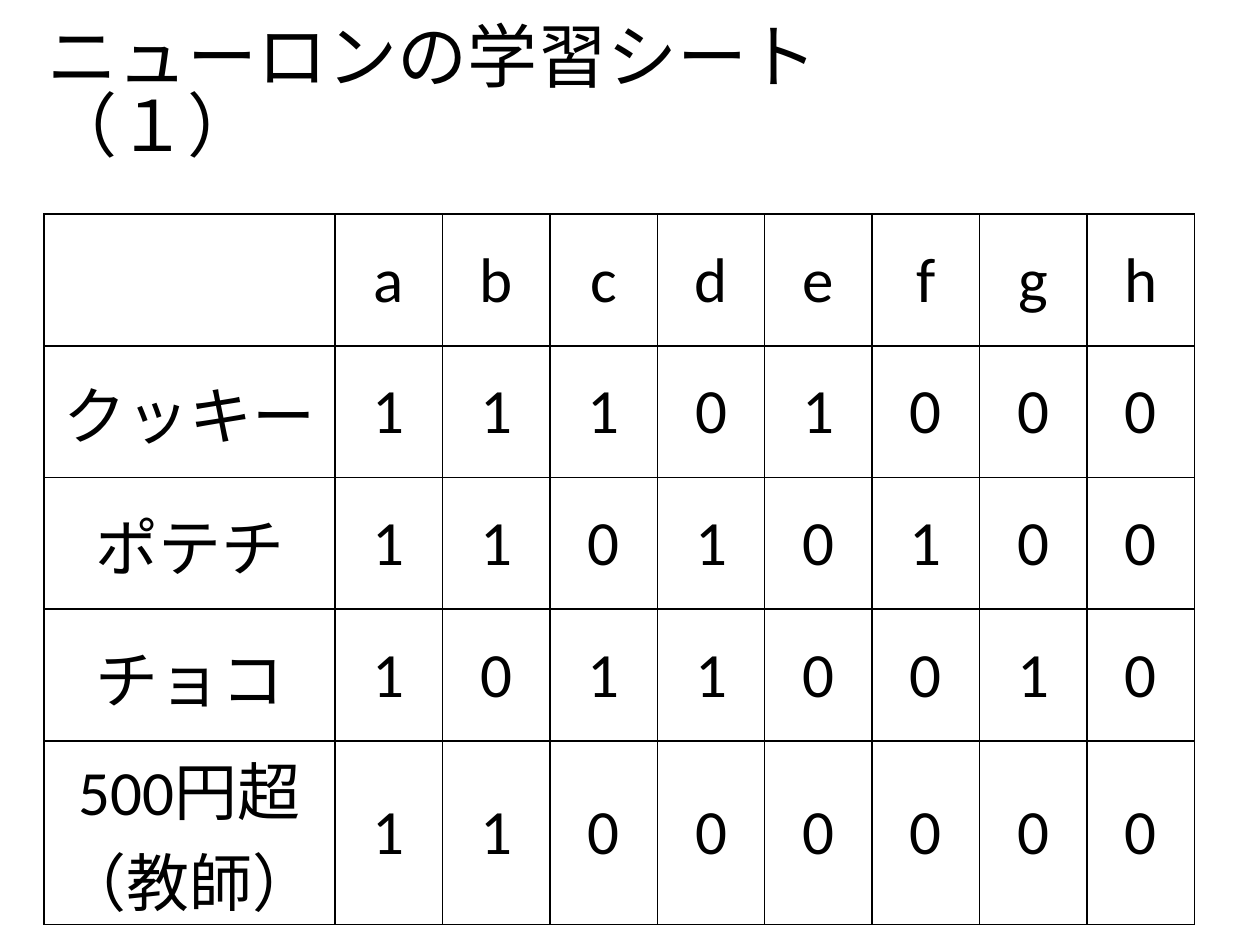
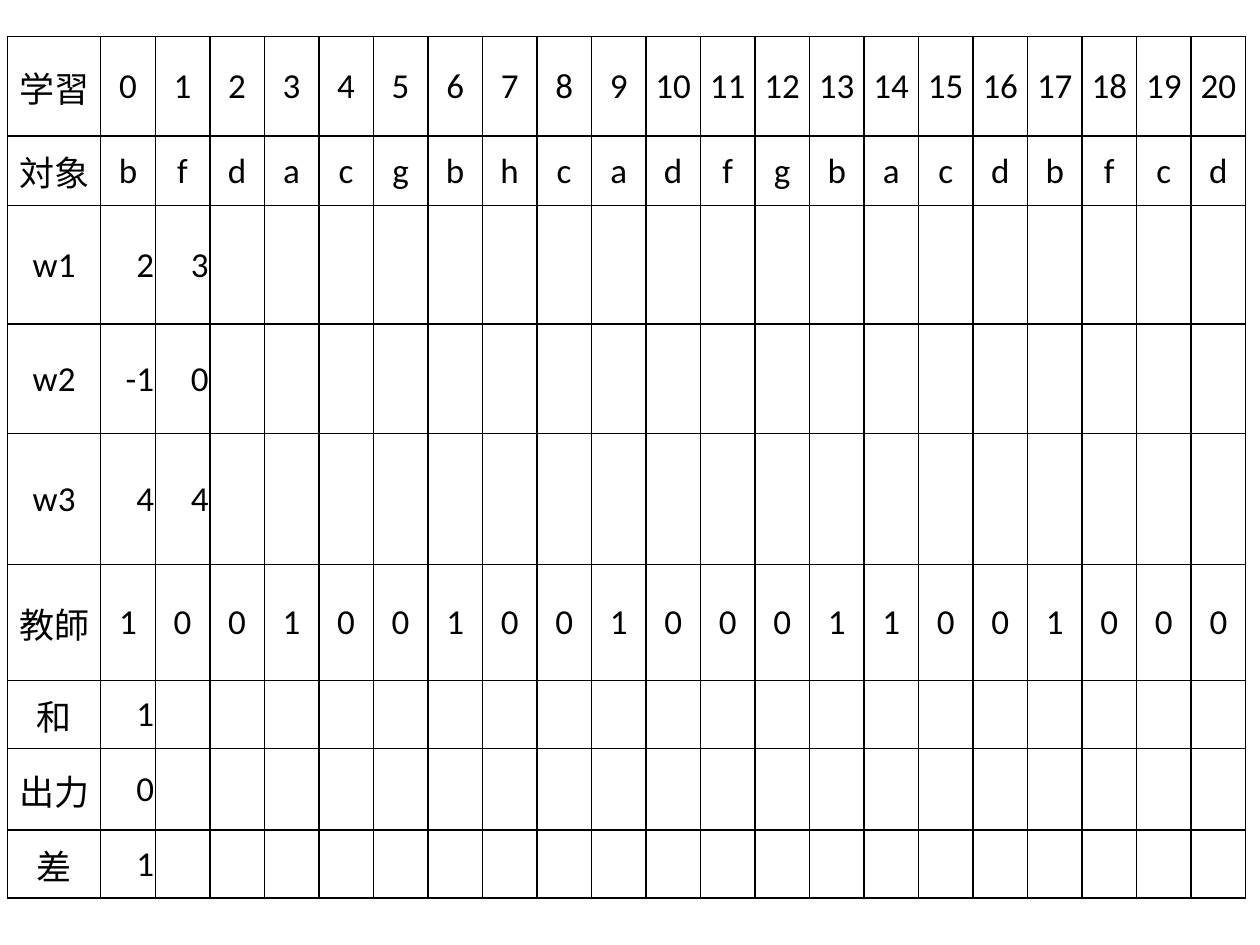
from pptx import Presentation
from pptx.dml.color import RGBColor
from pptx.enum.text import MSO_ANCHOR, MSO_AUTO_SIZE, PP_ALIGN
from pptx.oxml import parse_xml
from pptx.oxml.ns import nsdecls, qn
from pptx.util import Inches, Pt

LEFT, CENTER, RIGHT = PP_ALIGN.LEFT, PP_ALIGN.CENTER, PP_ALIGN.RIGHT
TOP, MIDDLE = MSO_ANCHOR.TOP, MSO_ANCHOR.MIDDLE
NO_FIT = MSO_AUTO_SIZE.NONE

INK, PAPER = "000000", "FFFFFF"
LATIN_FONT, JAPANESE_FONT = "Calibri", "Noto Sans CJK JP"
TITLE_ONLY, BLANK = 5, 6

# Slide grid: 100 columns by 75 rows
SLIDE_W, SLIDE_H = Inches(10), Inches(7.5)
COL, ROW = SLIDE_W / 100, SLIDE_H / 75

SNACKS = [
    ["", *"abcdefgh"],
    ["クッキー", *"11101000"],
    ["ポテチ", *"11010100"],
    ["チョコ", *"10110010"],
    ["500円超\n（教師）", *"11000000"],
]
STEPS = [
    ["学習", *map(str, range(21))],
    ["対象", *"bfdacgbhcadfgbacdbfcd"],
    ["w1", "2", "3"],
    ["w2", "-1", "0"],
    ["w3", "4", "4"],
    ["教師", *"100100100100011001000"],
    ["和", "1"],
    ["出力", "0"],
    ["差", "1"],
]


def color(hex_string):
    return RGBColor.from_string(hex_string)


def format_text(tf, size, align):
    for p in tf.paragraphs:
        p.alignment = align
        for r in p.runs:
            r.font.size = Pt(size)
            r.font.name = LATIN_FONT
            r.font.color.rgb = color(INK)
            ea = parse_xml(f'<a:ea {nsdecls("a")} typeface="{JAPANESE_FONT}"/>')
            r.font._element.find(qn("a:latin")).addnext(ea)


def to_emu(box):
    x, y, w, h = box
    return int(x * COL), int(y * ROW), int(w * COL), int(h * ROW)


def add_borders(cell):
    tc_pr = cell._tc.get_or_add_tcPr()
    for side in ("lnL", "lnR", "lnT", "lnB"):
        tc_pr.append(parse_xml(
            f'<a:{side} {nsdecls("a")} w="12700"><a:solidFill>'
            f'<a:srgbClr val="{INK}"/></a:solidFill></a:{side}>'))


def add_title(s, text, box):
    title = s.shapes.title
    title.left, title.top, title.width, title.height = to_emu(box)
    tf = title.text_frame
    tf.text = text
    tf.word_wrap, tf.auto_size = True, NO_FIT
    tf.vertical_anchor = TOP
    tf.paragraphs[0].line_spacing = 0.83
    format_text(tf, 40, LEFT)


def add_sheet(s, rows, box, label_width, row_heights, size):
    """Ruled table: a label column, then equal columns; short rows stay open."""
    count = len(rows[0])
    x, y, w, h = to_emu(box)
    table = s.shapes.add_table(len(rows), count, x, y, w, h).table
    table.first_row = table.horz_banding = False

    # Column widths and row heights
    label = int(label_width * COL)
    for i, column in enumerate(table.columns):
        column.width = (w - label) // (count - 1) if i else label
    for row, height in zip(table.rows, row_heights):
        row.height = int(height * ROW)

    # Cells: worked values in unfinished rows are set to the right
    for i, texts in enumerate(rows):
        unfinished = len(texts) < count
        for j in range(count):
            cell = table.cell(i, j)
            add_borders(cell)
            cell.fill.background()
            cell.vertical_anchor = MIDDLE
            cell.margin_left = cell.margin_right = cell.margin_top = Inches(0.01)
            cell.margin_bottom = 0
            if j < len(texts):
                cell.text_frame.text = texts[j]
                format_text(cell.text_frame, size,
                            RIGHT if unfinished and j else CENTER)


def add_slide(prs, layout):
    s = prs.slides.add_slide(prs.slide_layouts[layout])
    s.background.fill.solid()
    s.background.fill.fore_color.rgb = color(PAPER)
    return s


def snack_slide(prs):
    s = add_slide(prs, TITLE_ONLY)
    add_sheet(s, SNACKS, (3.5, 17, 91.3, 54.3), 23.1, [10.45] * 4 + [12.5], 36)
    add_title(s, "ニューロンの学習シート　（１）", (2.8, 1.6, 70.9, 13))


def step_slide(prs):
    s = add_slide(prs, BLANK)
    heights = [7.9, 5.5, 9.4, 8.7, 10.4, 9.2, 5.4, 6.5, 5.4]
    add_sheet(s, STEPS, (0.6, 2.9, 98.3, 68.5), 7.4, heights, 20)


def main():
    prs = Presentation()
    prs.slide_width, prs.slide_height = SLIDE_W, SLIDE_H
    snack_slide(prs)
    step_slide(prs)
    prs.save("out.pptx")


if __name__ == "__main__":
    main()
